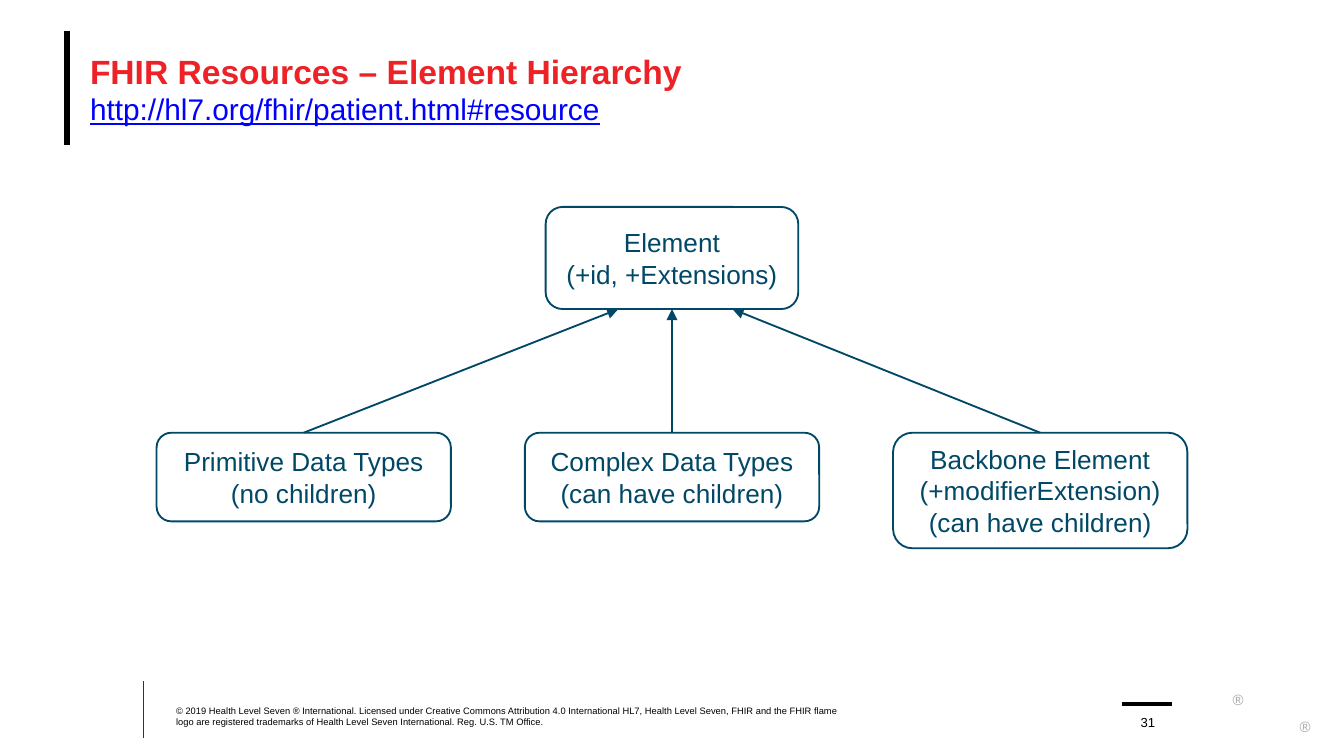
from dataclasses import dataclass

from pptx import Presentation
from pptx import util as u
from pptx.dml.color import RGBColor
from pptx.enum import shapes, text
from pptx.oxml import ns
from lxml import etree


@dataclass(frozen=True)
class Theme:
    """Colours, font and type sizes of the slide."""
    font: str = "Arial"
    black: str = "000000"
    brown: str = "3D3029"
    red: str = "EC2227"
    link: str = "0000FF"
    teal: str = "004866"
    grey: str = "A6A6A6"
    title: int = 18
    subtitle: int = 16
    box: int = 14
    mark: int = 8
    number: int = 7
    legal: int = 5


T = Theme()
COPYRIGHT = (
    "© 2019 Health Level Seven ® International. Licensed under Creative Commons "
    "Attribution 4.0 International HL7, Health Level Seven, FHIR and the FHIR flame "
    "logo are registered trademarks of Health Level Seven International. "
    "Reg. U.S. TM Office."
)
CHILDREN = [
    (["Primitive Data Types", "(no children)"], 0.66, 4.6),
    (["Complex Data Types", "(can have children)"], 0.66, None),
    (["Backbone Element", "(+modifierExtension)", "(can have children)"], 0.86, 5.45),
]


def add_run(p, words, size, color, bold=False, underline=False):
    """Append a formatted run to a paragraph."""
    r = p.add_run()
    r.text = words
    r.font.name = T.font
    r.font.size = u.Pt(size)
    r.font.color.rgb = RGBColor.from_string(color)
    r.font.bold = bold
    r.font.underline = underline


def add_textbox(s, x, y, w, h, anchor=text.MSO_ANCHOR.BOTTOM):
    """Add a wrapping text box without margins and return its text frame."""
    tf = s.shapes.add_textbox(*map(u.Inches, (x, y, w, h))).text_frame
    tf.word_wrap = True
    tf.vertical_anchor = anchor
    tf.margin_left = tf.margin_right = tf.margin_top = tf.margin_bottom = 0
    return tf


def add_mark(s, x, y, w):
    """Add a small registered mark that grows around its middle."""
    tf = s.shapes.add_textbox(*map(u.Inches, (x, y, w, 0.09))).text_frame
    tf.word_wrap = False
    tf.auto_size = text.MSO_AUTO_SIZE.SHAPE_TO_FIT_TEXT
    add_run(tf.paragraphs[0], "®", T.mark, T.grey)


def add_box(s, center, top, w, h, lines):
    """Add an outlined rounded box with centred lines of text."""
    sp = s.shapes.add_shape(
        shapes.MSO_SHAPE.ROUNDED_RECTANGLE,
        *map(u.Inches, (center - w / 2, top, w, h)))
    sp.shadow.inherit = False
    sp.fill.background()
    sp.line.color.rgb = RGBColor.from_string(T.teal)
    sp.line.width = u.Pt(1)
    tf = sp.text_frame
    tf.word_wrap = True
    tf.vertical_anchor = text.MSO_ANCHOR.MIDDLE
    for i, line in enumerate(lines):
        p = tf.add_paragraph() if i else tf.paragraphs[0]
        p.alignment = text.PP_ALIGN.CENTER
        add_run(p, line, T.box, T.teal)
    return sp


def add_line(s, x1, y1, x2, y2, color, width, arrow=False):
    """Add a straight line, with an arrowhead at its end if asked."""
    c = s.shapes.add_connector(
        shapes.MSO_CONNECTOR.STRAIGHT, *map(u.Inches, (x1, y1, x2, y2)))
    c.line.color.rgb = RGBColor.from_string(color)
    c.line.width = u.Pt(width)
    if arrow:
        etree.SubElement(c.get_or_add_ln(), ns.qn("a:tailEnd"), type="triangle")
    etree.SubElement(c._element.spPr, ns.qn("a:effectLst"))
    return c


def add_frame(s):
    """Add the rules, marks, page number and copyright line."""
    add_line(s, 1.07, 5.07, 1.07, 5.49, T.brown, 0.5)
    add_line(s, 0.5, 0.23, 0.5, 1.08, T.black, 3.25)
    add_line(s, 8.35, 5.24, 8.72, 5.24, T.black, 2)
    add_mark(s, 9.16, 5.1, 0.11)
    add_mark(s, 9.67, 5.3, 0.09)
    p = add_textbox(s, 8.39, 5.24, 0.3, 0.19).paragraphs[0]
    p.alignment = text.PP_ALIGN.CENTER
    add_run(p, "31", T.number, T.black)
    p = add_textbox(s, 1.31, 5.24, 4.95, 0.17).paragraphs[0]
    add_run(p, COPYRIGHT, T.legal, T.black)


def add_title(s):
    """Add the title with the address below it."""
    p = add_textbox(s, 0.67, 0.23, 9, 0.86, text.MSO_ANCHOR.MIDDLE).paragraphs[0]
    add_run(p, "FHIR Resources – Element Hierarchy", T.title, T.red, bold=True)
    p.add_line_break()
    add_run(p, "http://hl7.org/fhir/patient.html#resource",
            T.subtitle, T.link, underline=True)


def add_hierarchy(s):
    """Add the parent box and the children that point to it."""
    middle, pitch, top, bottom = 5, 2.74, 3.22, 2.3
    parent = add_box(s, middle, 1.54, 1.88, 0.76, ["Element", "(+id, +Extensions)"])
    for i, (lines, h, target) in enumerate(CHILDREN):
        center = middle + (i - 1) * pitch
        child = add_box(s, center, top, 2.19, h, lines)
        c = add_line(s, center, top, target or middle, bottom, T.teal, 1, arrow=True)
        c.begin_connect(child, 0)
        if target is None:
            c.end_connect(parent, 2)


def main():
    """Build and save the slide."""
    prs = Presentation()
    prs.slide_width = u.Inches(10)
    prs.slide_height = prs.slide_width * 9 // 16
    s = prs.slides.add_slide(prs.slide_layouts[6])
    add_frame(s)
    add_title(s)
    add_hierarchy(s)
    prs.save("out.pptx")


if __name__ == "__main__":
    main()
